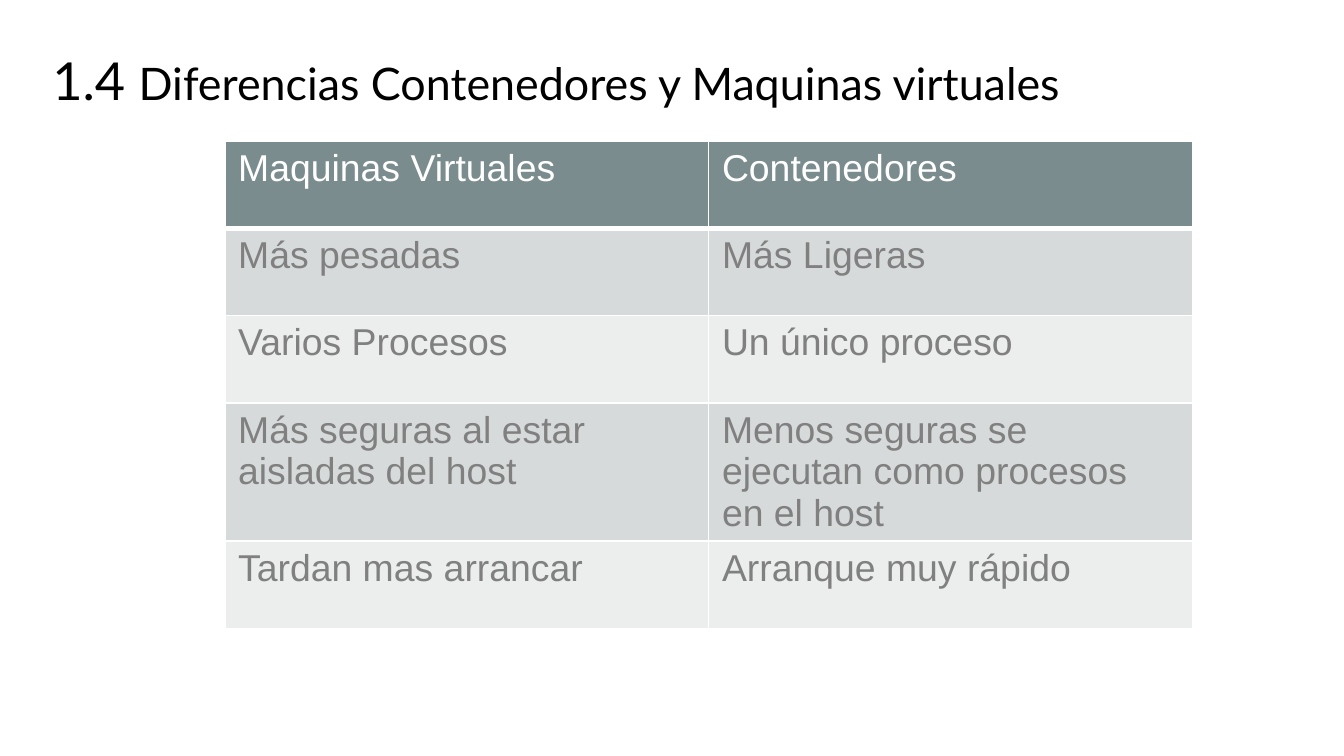
from lxml.etree import SubElement
from pptx import Presentation
from pptx.dml.color import RGBColor
from pptx.enum.text import MSO_ANCHOR, MSO_AUTO_SIZE, PP_ALIGN
from pptx.oxml.ns import qn
from pptx.util import Pt

TITLE_RUNS = [("1.4 ", 28), ("Diferencias Contenedores y Maquinas virtuales", 24)]
ROWS = [
    ("Maquinas Virtuales", "Contenedores"),
    ("Más pesadas", "Más Ligeras"),
    ("Varios Procesos", "Un único proceso"),
    ("Más seguras al estar aisladas del host",
     "Menos seguras se ejecutan como procesos en el host"),
    ("Tardan mas arrancar", "Arranque muy rápido"),
]
ROW_HEIGHTS = [46.8, 46.8, 46.8, 65.5, 46.8]
COLUMN_WIDTH = 259.2
HEADER_FILL = "7A8C8E"
BAND_FILLS = ["ECEEEE", "D7DADB"]


def color(value):
    return RGBColor.from_string(value)


def apply_format(target, values):
    for name, value in values.items():
        setattr(target, name, value)


def style_font(font, name, size, hex_color):
    apply_format(font, {"name": name, "size": Pt(size), "bold": False})
    font.color.rgb = color(hex_color)


def add_borders(cell, widths):
    properties = cell._tc.get_or_add_tcPr()
    for side, width in widths.items():
        line = SubElement(properties, qn(f"a:ln{side}"), w=str(Pt(width)))
        fill = SubElement(line, qn("a:solidFill"))
        SubElement(fill, qn("a:srgbClr"), val="FFFFFF")


def add_title(slide):
    title = slide.shapes.title
    apply_format(title, {"left": Pt(20.9), "top": Pt(21.6),
                         "width": Pt(637.9), "height": Pt(44.6)})
    frame = title.text_frame
    apply_format(frame, {"margin_left": Pt(7.2), "margin_right": Pt(4.3),
                         "margin_top": Pt(4.3), "margin_bottom": Pt(4.3),
                         "word_wrap": True, "auto_size": MSO_AUTO_SIZE.NONE,
                         "vertical_anchor": MSO_ANCHOR.TOP})
    paragraph = frame.paragraphs[0]
    paragraph.alignment = PP_ALIGN.LEFT
    for text, size in TITLE_RUNS:
        run = paragraph.add_run()
        run.text = text
        style_font(run.font, "Lato", size, "000000")


def add_comparison(slide):
    column_count = len(ROWS[0])
    table = slide.shapes.add_table(
        len(ROWS), column_count, Pt(120.4), Pt(75.4),
        Pt(COLUMN_WIDTH * column_count), Pt(sum(ROW_HEIGHTS))).table
    for column in table.columns:
        column.width = Pt(COLUMN_WIDTH)
    for row_index, texts in enumerate(ROWS):
        table.rows[row_index].height = Pt(ROW_HEIGHTS[row_index])
        is_header = row_index == 0
        fill = HEADER_FILL if is_header else BAND_FILLS[row_index % 2]
        for column_index, text in enumerate(texts):
            cell = table.cell(row_index, column_index)
            cell.text = text
            style_font(cell.text_frame.paragraphs[0].runs[0].font, "Arial", 20,
                       "FFFFFF" if is_header else "808080")
            add_borders(cell, {"L": 1, "R": 1, "T": 1, "B": 3 if is_header else 1})
            cell.fill.solid()
            cell.fill.fore_color.rgb = color(fill)


def main():
    presentation = Presentation()
    apply_format(presentation, {"slide_width": Pt(720), "slide_height": Pt(405)})
    slide = presentation.slides.add_slide(presentation.slide_layouts[5])
    slide.background.fill.solid()
    slide.background.fill.fore_color.rgb = color("FFFFFF")
    add_title(slide)
    add_comparison(slide)
    presentation.save("out.pptx")


if __name__ == "__main__":
    main()
